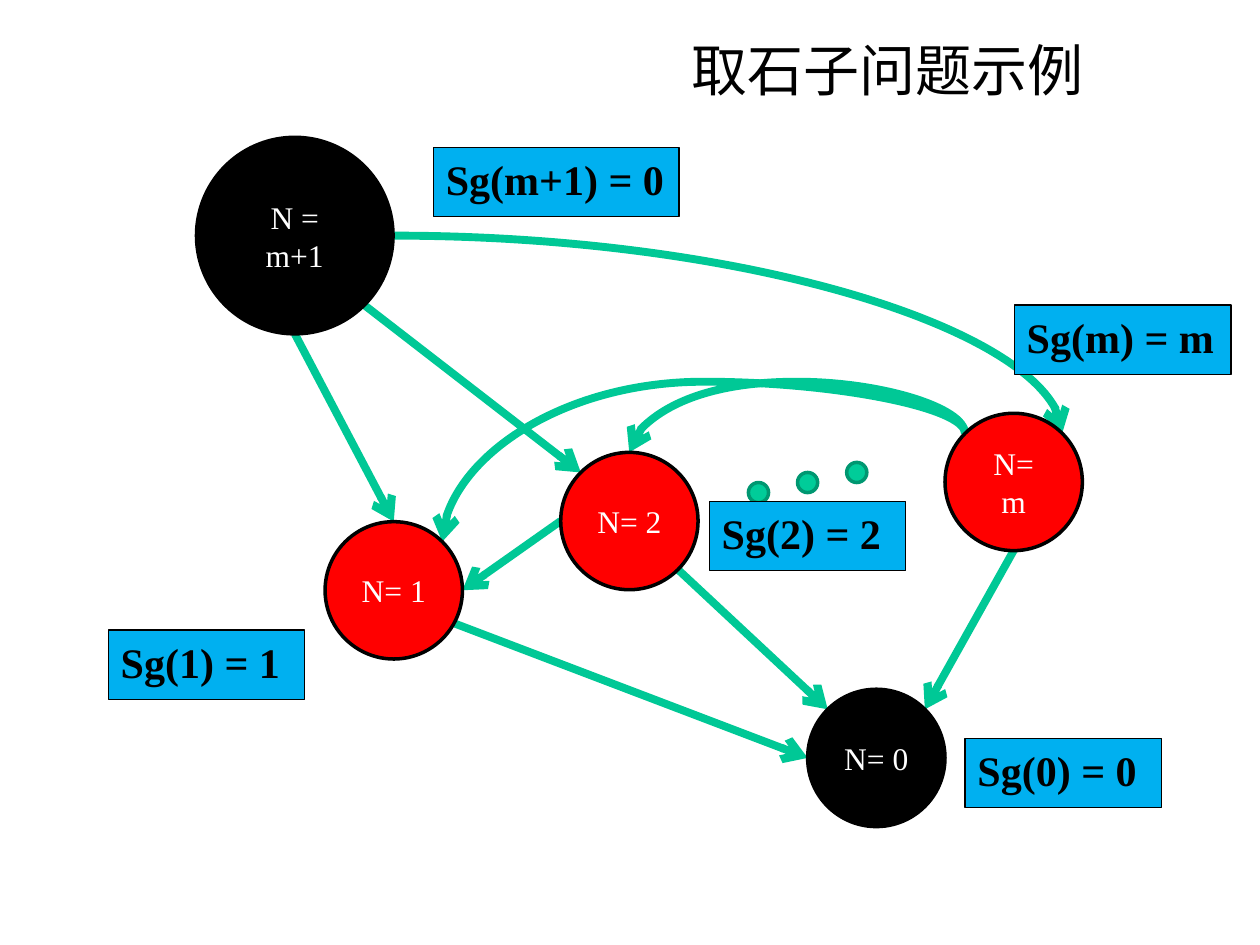
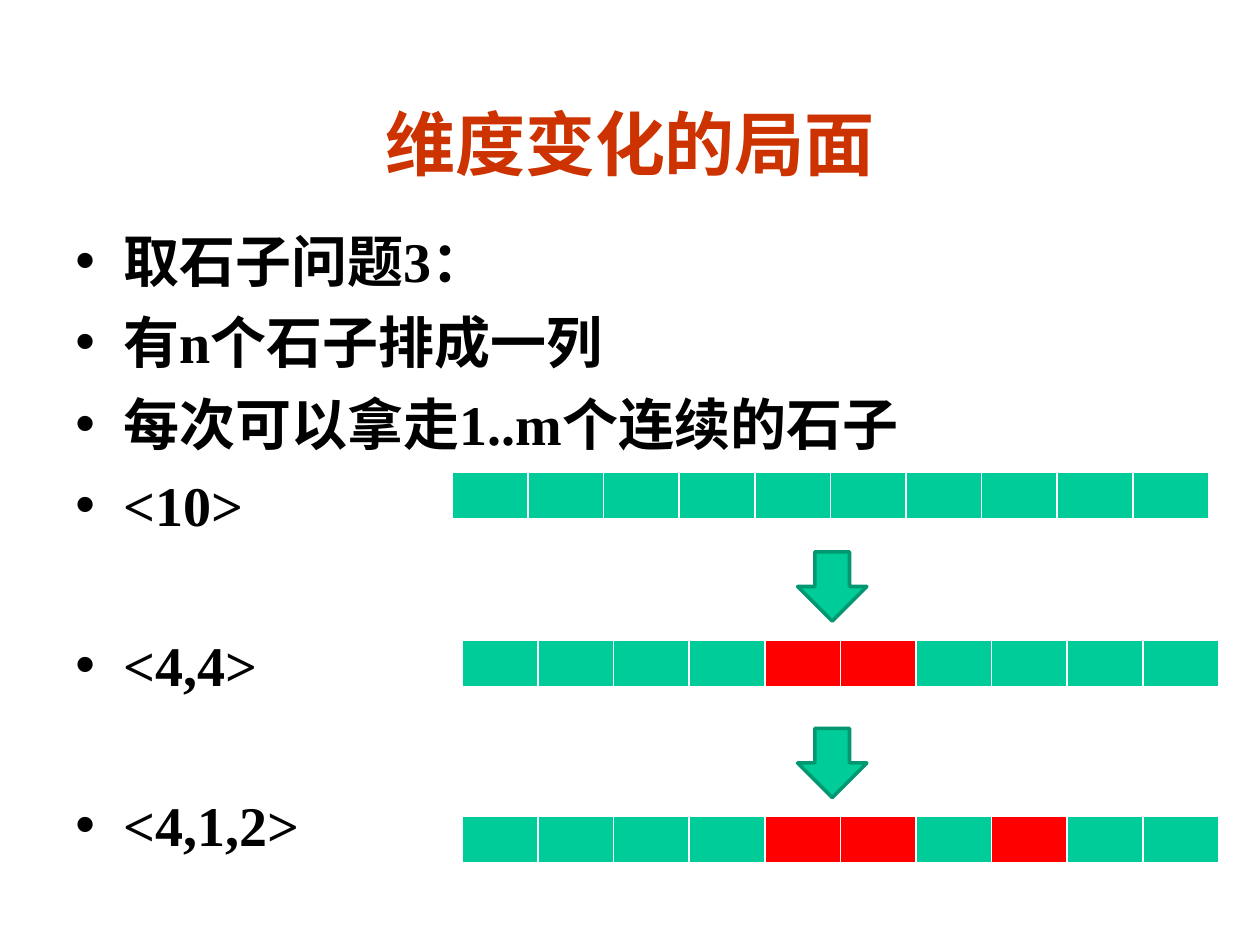
from dataclasses import dataclass

from lxml import etree
from pptx import Presentation
from pptx.dml.color import RGBColor
from pptx.enum.shapes import MSO_CONNECTOR, MSO_SHAPE
from pptx.enum.text import MSO_ANCHOR, MSO_AUTO_SIZE, PP_ALIGN
from pptx.oxml.ns import qn
from pptx.util import Inches, Pt

OVAL, DOWN_ARROW = MSO_SHAPE.OVAL, MSO_SHAPE.DOWN_ARROW
STRAIGHT, CURVE = MSO_CONNECTOR.STRAIGHT, MSO_CONNECTOR.CURVE
TOP, MIDDLE = MSO_ANCHOR.TOP, MSO_ANCHOR.MIDDLE
LEFT, CENTER = PP_ALIGN.LEFT, PP_ALIGN.CENTER
TITLE_ONLY = 5


@dataclass(frozen=True)
class Theme:
    black: str = "000000"
    white: str = "FFFFFF"
    red: str = "FF0000"
    green: str = "00CC99"
    green_edge: str = "009771"
    arrow: str = "00C896"
    label: str = "00B0F0"
    heading: str = "CC3300"
    serif: str = "Times New Roman"
    sans: str = "Arial"
    heading_size: int = 40
    body_size: int = 32
    label_size: int = 24
    node_size: int = 18


THEME = Theme()

GRAPH_TITLE = "取石子问题示例"
POSITIONS = {
    "0": ("N= 0", 6.41, 5.47, 1.09, THEME.black),
    "1": ("N= 1", 2.58, 4.14, 1.09, THEME.red),
    "2": ("N= 2", 4.45, 3.59, 1.09, THEME.red),
    "m": ("N= m", 7.5, 3.28, 1.09, THEME.red),
    "m+1": ("N = m+1", 1.56, 1.09, 1.56, THEME.black),
}
MOVES = [
    ("2", "bottom right", "0", "top left", "straight"),
    ("m", "top left", "2", "top", "arch"),
    ("m", "bottom", "0", "top right", "straight"),
    ("1", "inside", "0", "left", "straight"),
    ("m", "top left", "1", "top right", "arch"),
    ("2", "left", "1", "right", "straight"),
    ("m+1", "bottom", "1", "top", "straight"),
    ("m+1", "bottom right", "2", "top left", "straight"),
    ("m+1", "right", "m", "top right", "quarter"),
]
SG_VALUES = [
    ("Sg(0) = 0", 7.66, 5.86, 1.56),
    ("Sg(1) = 1", 0.86, 5, 1.56),
    ("Sg(2) = 2", 5.63, 3.98, 1.56),
    ("Sg(m) = m", 8.05, 2.42, 1.72),
    ("Sg(m+1) = 0", 3.44, 1.17, 1.95),
]
LABEL_HEIGHT = 0.55
ARCH_RISE = 0.41
DOT_COUNT, DOT_START, DOT_STEP, DOT_SIZE = 3, (5.94, 3.83), (0.39, -0.08), 0.16

DIAGONAL = 0.5 ** 0.5 / 2
NEAR, FAR = 0.5 - DIAGONAL, 0.5 + DIAGONAL
SITES = {
    "top": (0, 0.5, 0),
    "top left": (1, NEAR, NEAR),
    "left": (2, 0, 0.5),
    "bottom": (4, 0.5, 1),
    "bottom right": (5, FAR, FAR),
    "right": (6, 1, 0.5),
    "top right": (7, FAR, NEAR),
    "inside": (None, 0.86, 0.71),
}

STONES_TITLE = "维度变化的局面"
RULES = [
    ("取石子问题3：", 2),
    ("有n个石子排成一列", 8),
    ("每次可以拿走1..m个连续的石子", 8),
    ("<10>", 8),
    ("<4,4>", 53),
    ("<4,1,2>", 53),
]
STONE_ROWS = [
    (3.59, 3.75, ()),
    (3.67, 5.08, (4, 5)),
    (3.67, 6.48, (4, 5, 7)),
]
STONE_COUNT, STONE_WIDTH, STONE_HEIGHT = 10, 0.6, 0.38
STEP_ARROW_TOPS = (4.38, 5.78)
STEP_ARROW_LEFT, STEP_ARROW_SIZE = 6.33, 0.55
BORDERS = {"lnL": 1, "lnR": 1, "lnT": 1, "lnB": 3}


def rgb(color):
    return RGBColor.from_string(color)


def add_xml(parent, tag, **attributes):
    return etree.SubElement(parent, qn(tag), {k: str(v) for k, v in attributes.items()})


def style_text(frame, size, color, font=THEME.serif, bold=False, align=LEFT, anchor=TOP):
    frame.word_wrap = True
    frame.auto_size = MSO_AUTO_SIZE.NONE
    frame.vertical_anchor = anchor
    for paragraph in frame.paragraphs:
        paragraph.alignment = align
        for run in paragraph.runs:
            run.font.size = Pt(size)
            run.font.name = font
            run.font.bold = bold
            run.font.color.rgb = rgb(color)


def paint(shape, fill, edge, width):
    shape.fill.solid()
    shape.fill.fore_color.rgb = rgb(fill)
    shape.line.color.rgb = rgb(edge)
    shape.line.width = Pt(width)


def add_figure(slide, kind, left, top, size, fill, edge):
    figure = slide.shapes.add_shape(kind, Inches(left), Inches(top), Inches(size), Inches(size))
    figure.shadow.inherit = False
    paint(figure, fill, edge, 2)
    return figure


def add_titled_slide(deck, text, box, **style):
    slide = deck.slides.add_slide(deck.slide_layouts[TITLE_ONLY])
    title = slide.shapes.title
    title.left, title.top, title.width, title.height = map(Inches, box)
    title.text_frame.text = text
    style_text(title.text_frame, **style)
    return slide


def add_node(slide, text, left, top, size, fill):
    node = add_figure(slide, OVAL, left, top, size, fill, THEME.black)
    node.text_frame.text = text
    style_text(node.text_frame, THEME.node_size, THEME.white, align=CENTER, anchor=MIDDLE)
    return node


def site_point(state, site):
    _, left, top, size, _ = POSITIONS[state]
    _, across, down = SITES[site]
    return left + size * across, top + size * down


def bend_into_arch(connector, start, end):
    (x1, y1), (x2, y2) = start, end
    width, height = abs(y2 - y1), abs(x2 - x1)
    connector.left = Inches((x1 + x2 - width) / 2)
    connector.top = Inches((y1 + y2 - height) / 2)
    connector.width, connector.height = Inches(width), Inches(height)
    properties = connector._element.spPr
    frame = properties.find(qn("a:xfrm"))
    for name, value in (("rot", "16200000"), ("flipH", "1"), ("flipV", "1")):
        frame.set(name, value)
    guides = properties.find(qn("a:prstGeom")).find(qn("a:avLst"))
    bend = round(-ARCH_RISE / width * 100000)
    add_xml(guides, "a:gd", name="adj1", fmla=f"val {bend}")


def add_move(slide, nodes, source, source_site, target, target_site, form):
    start, end = site_point(source, source_site), site_point(target, target_site)
    kind = STRAIGHT if form == "straight" else CURVE
    move = slide.shapes.add_connector(kind, *map(Inches, start + end))
    properties = move._element.spPr
    if form == "arch":
        bend_into_arch(move, start, end)
    elif form == "quarter":
        properties.find(qn("a:prstGeom")).set("prst", "curvedConnector2")
    joints = move._element.nvCxnSpPr.cNvCxnSpPr
    for tag, state, site in (("a:stCxn", source, source_site), ("a:endCxn", target, target_site)):
        index = SITES[site][0]
        if index is not None:
            add_xml(joints, tag, id=nodes[state].shape_id, idx=index)
    move.line.color.rgb = rgb(THEME.arrow)
    move.line.width = Pt(4.5)
    add_xml(properties.find(qn("a:ln")), "a:tailEnd", type="arrow")
    add_xml(properties, "a:effectLst")


def add_sg_value(slide, text, left, top, width):
    label = slide.shapes.add_textbox(*map(Inches, (left, top, width, LABEL_HEIGHT)))
    paint(label, THEME.label, THEME.black, 0.75)
    label.text_frame.text = text
    style_text(label.text_frame, THEME.label_size, THEME.black, bold=True)


def build_graph_slide(deck):
    slide = add_titled_slide(deck, GRAPH_TITLE, (5.39, 0.23, 4.61, 0.64),
                             size=THEME.body_size, color=THEME.black)
    for i in range(DOT_COUNT):
        left, top = (start + i * step for start, step in zip(DOT_START, DOT_STEP))
        add_figure(slide, OVAL, left, top, DOT_SIZE, THEME.green, THEME.green_edge)
    nodes = {state: add_node(slide, *node) for state, node in POSITIONS.items()}
    for move in MOVES:
        add_move(slide, nodes, *move)
    for node in nodes.values():
        node._element.getparent().append(node._element)
    for sg_value in SG_VALUES:
        add_sg_value(slide, *sg_value)


def add_rules(slide):
    rules = slide.shapes.add_textbox(*map(Inches, (0.5, 1.75, 9, 5.44))).text_frame
    rules.text = "\n".join(text for text, _ in RULES)
    style_text(rules, THEME.body_size, THEME.black, bold=True)
    for paragraph, (_, gap) in zip(rules.paragraphs, RULES):
        paragraph.space_before = Pt(gap)
        properties = paragraph._p.get_or_add_pPr()
        properties.set("marL", str(Inches(0.38)))
        properties.set("indent", str(Inches(-0.38)))
        add_xml(properties, "a:buFont", typeface=THEME.sans)
        add_xml(properties, "a:buChar", char="•")


def add_stone_row(slide, left, top, taken):
    box = (left, top, STONE_COUNT * STONE_WIDTH, STONE_HEIGHT)
    stones = slide.shapes.add_table(1, STONE_COUNT, *map(Inches, box)).table
    stones.first_row = stones.horz_banding = False
    for i, stone in enumerate(stones.rows[0].cells):
        stone.margin_top = stone.margin_bottom = 0
        properties = stone._tc.get_or_add_tcPr()
        for side, width in BORDERS.items():
            border = add_xml(properties, f"a:{side}", w=Pt(width))
            add_xml(add_xml(border, "a:solidFill"), "a:srgbClr", val=THEME.white)
        stone.fill.solid()
        stone.fill.fore_color.rgb = rgb(THEME.red if i in taken else THEME.green)


def build_stones_slide(deck):
    slide = add_titled_slide(deck, STONES_TITLE, (0.75, 0.67, 8.5, 0.92),
                             size=THEME.heading_size, color=THEME.heading, font=THEME.sans,
                             bold=True, align=CENTER, anchor=MIDDLE)
    add_rules(slide)
    for stone_row in STONE_ROWS:
        add_stone_row(slide, *stone_row)
    for top in STEP_ARROW_TOPS:
        add_figure(slide, DOWN_ARROW, STEP_ARROW_LEFT, top, STEP_ARROW_SIZE,
                   THEME.green, THEME.green_edge)


def main():
    deck = Presentation()
    deck.slide_width, deck.slide_height = Inches(10), Inches(7.5)
    build_graph_slide(deck)
    build_stones_slide(deck)
    deck.save("out.pptx")


if __name__ == "__main__":
    main()
